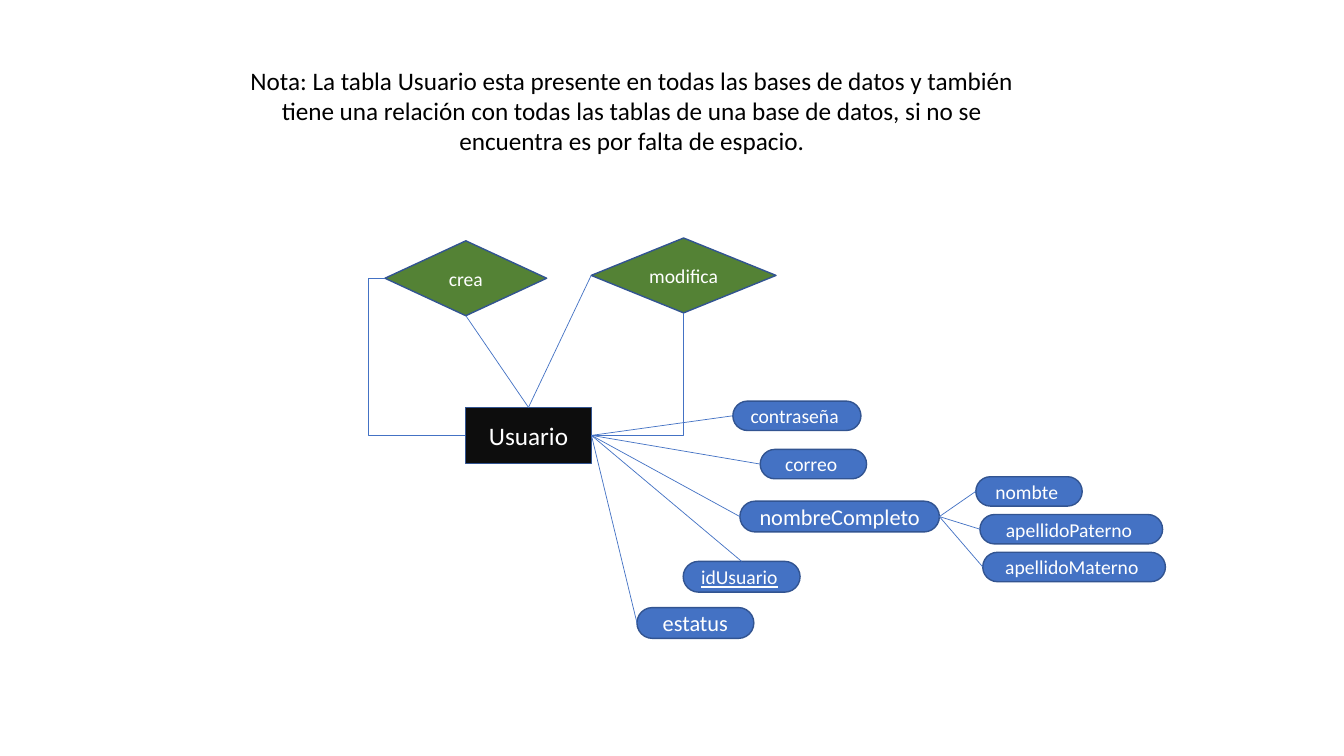
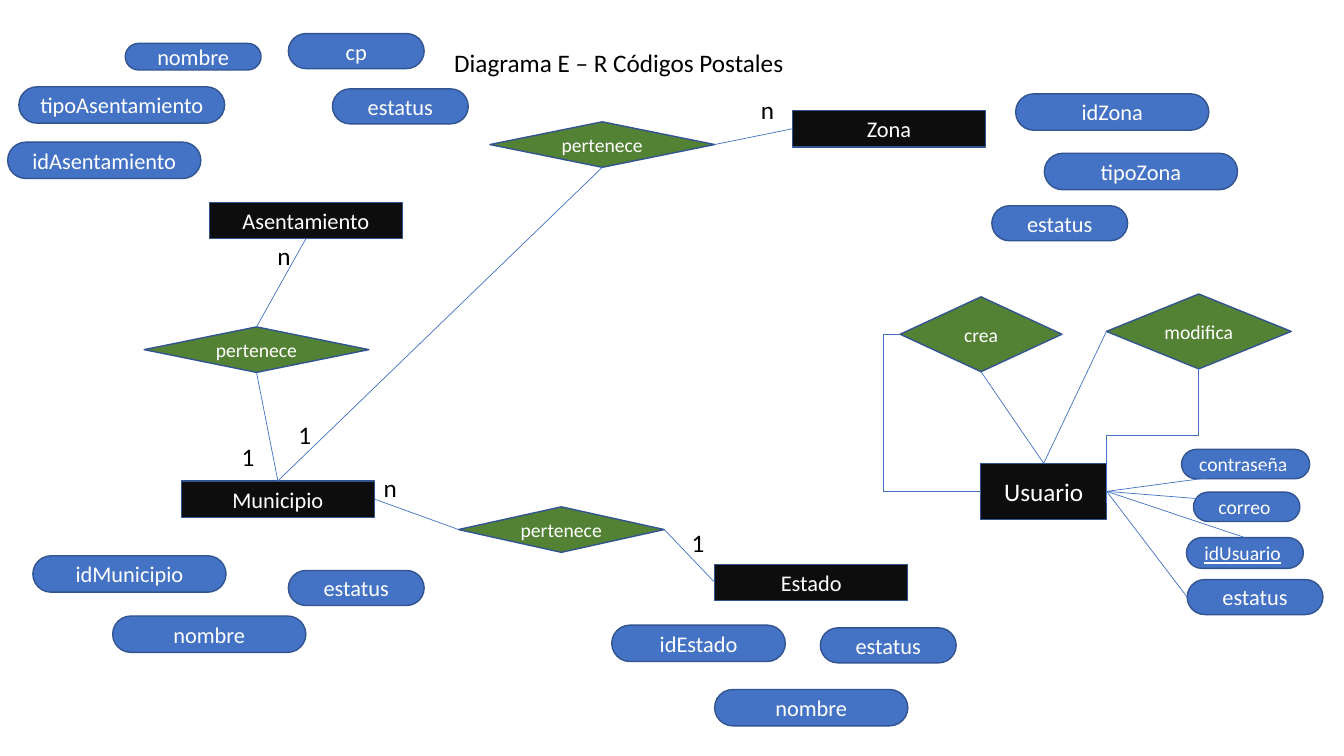
from lxml import etree
from pptx import Presentation
from pptx.dml.color import RGBColor
from pptx.enum import shapes, text
from pptx.oxml.ns import qn
from pptx.util import Pt

BLACK = RGBColor(0x00, 0x00, 0x00)
WHITE = RGBColor(0xFF, 0xFF, 0xFF)
ENTITY = RGBColor(0x0D, 0x0D, 0x0D)
ATTRIBUTE = RGBColor(0x44, 0x72, 0xC4)
RELATION = RGBColor(0x54, 0x82, 0x35)
OUTLINE = RGBColor(0x32, 0x54, 0x91)
FONT = "Calibri"
TOP, LEFT, BOTTOM, RIGHT = range(4)

KINDS = {
    "entity": (shapes.MSO_SHAPE.RECTANGLE, ENTITY),
    "attribute": (shapes.MSO_SHAPE.ROUNDED_RECTANGLE, ATTRIBUTE),
    "relation": (shapes.MSO_SHAPE.DIAMOND, RELATION),
}
WIDE, SMALL = (138, 26), (97, 25)
UNDERLINED = {"idUsuario"}

USER_NODES = [
    ("Usuario", "entity", "Usuario", (332.5, 291), (90, 40), 18),
    ("crea", "relation", "crea", (275, 172), (115.5, 53.5), 14),
    ("modifica", "relation", "modifica", (422.3, 170), (132, 53.5), 14),
]
USER_LINKS = [
    ("crea", BOTTOM, "Usuario", TOP),
    ("modifica", LEFT, "Usuario", TOP),
]
ID_SIZE, MAIL_SIZE, PASSWORD_SIZE, SURNAME_SIZE = (83.5, 22), (76, 21), (91.5, 21), (130.5, 21)

NOTE = ("Nota: La tabla Usuario esta presente en todas las bases de datos y también tiene una "
        "relación con todas las tablas de una base de datos, si no se encuentra es por falta de espacio.")
NOTE_NODES = [
    ("idUsuario", "attribute", "idUsuario ", (488, 401), ID_SIZE, 14),
    ("correo", "attribute", "correo ", (543, 321), MAIL_SIZE, 14),
    ("contraseña", "attribute", "contraseña ", (523.5, 286.5), PASSWORD_SIZE, 14),
    ("estatus", "attribute", "estatus", (455, 434), ID_SIZE, 16),
    ("nombreCompleto", "attribute", "nombreCompleto", (528.5, 358), (142.5, 22), 16),
    ("nombte", "attribute", "nombte ", (697, 340.5), MAIL_SIZE, 14),
    ("apellidoPaterno", "attribute", "apellidoPaterno ", (700, 367.5), SURNAME_SIZE, 14),
    ("apellidoMaterno", "attribute", "apellidoMaterno ", (702, 394.5), SURNAME_SIZE, 14),
]
NOTE_LINKS = [
    ("contraseña", LEFT, "Usuario", RIGHT),
    ("correo", LEFT, "Usuario", RIGHT),
    ("idUsuario", TOP, "Usuario", RIGHT),
    ("estatus", LEFT, "Usuario", RIGHT),
    ("nombreCompleto", LEFT, "Usuario", RIGHT),
    ("nombte", LEFT, "nombreCompleto", RIGHT),
    ("apellidoPaterno", LEFT, "nombreCompleto", RIGHT),
    ("apellidoMaterno", LEFT, "nombreCompleto", RIGHT),
]

POSTAL_TITLE = "Diagrama E – R Códigos Postales"
POSTAL_NODES = [
    ("Asentamiento", "entity", "Asentamiento", (149.5, 144.5), WIDE, 16),
    ("Municipio", "entity", "Municipio", (129.5, 343.5), WIDE, 16),
    ("Estado", "entity", "Estado", (510.5, 403), WIDE, 16),
    ("Zona", "entity", "Zona", (566, 79), WIDE, 16),
    ("Asentamiento-Municipio", "relation", "pertenece", (103, 233.5), (160.5, 32.5), 14),
    ("Municipio-Estado", "relation", "pertenece", (327.5, 362), (147, 32.5), 14),
    ("Municipio-Zona", "relation", "pertenece", (350, 87), (160.5, 32.5), 14),
    ("idAsentamiento", "attribute", "idAsentamiento", (5.5, 101.5), WIDE, 16),
    ("tipoAsentamiento", "attribute", "tipoAsentamiento", (13.5, 62), (147, 26), 16),
    ("nombre Asentamiento", "attribute", "nombre", (89.5, 31), (97, 19), 16),
    ("cp", "attribute", "cp", (206, 24), SMALL, 16),
    ("estatus Asentamiento", "attribute", "estatus", (237.5, 63.5), SMALL, 16),
    ("idMunicipio", "attribute", "idMunicipio", (23.5, 397), WIDE, 16),
    ("nombre Municipio", "attribute", "nombre", (80.5, 440), WIDE, 16),
    ("estatus Municipio", "attribute", "estatus", (206, 407.5), SMALL, 16),
    ("idEstado", "attribute", "idEstado", (437, 446.5), (124, 26), 16),
    ("nombre Estado", "attribute", "nombre", (510.5, 492.5), WIDE, 16),
    ("estatus Estado", "attribute", "estatus", (586, 448.5), SMALL, 16),
    ("idZona", "attribute", "idZona", (725.5, 67), WIDE, 16),
    ("tipoZona", "attribute", "tipoZona", (746, 109.5), WIDE, 16),
    ("estatus Zona", "attribute", "estatus", (708.5, 147), SMALL, 16),
    ("idUsuario", "attribute", "idUsuario ", (847.5, 384), ID_SIZE, 14),
    ("correo", "attribute", "correo ", (852.5, 351.5), MAIL_SIZE, 14),
    ("contraseña", "attribute", "contraseña ", (844, 321), PASSWORD_SIZE, 14),
    ("estatus Usuario", "attribute", "estatus", (848, 414), SMALL, 16),
]
POSTAL_LINKS = [
    ("Municipio-Estado", LEFT, "Municipio", RIGHT),
    ("Municipio-Estado", RIGHT, "Estado", LEFT),
    ("Asentamiento-Municipio", TOP, "Asentamiento", BOTTOM),
    ("Asentamiento-Municipio", BOTTOM, "Municipio", TOP),
    ("Municipio", TOP, "Municipio-Zona", BOTTOM),
    ("Municipio-Zona", RIGHT, "Zona", LEFT),
    ("contraseña", RIGHT, "Usuario", RIGHT),
    ("correo", RIGHT, "Usuario", RIGHT),
    ("idUsuario", TOP, "Usuario", RIGHT),
    ("estatus Usuario", LEFT, "Usuario", RIGHT),
]
CARDINALITIES = [
    ("n", 191, 168), ("1", 165.5, 312), ("1", 487, 373),
    ("n", 267, 334), ("n", 536.5, 63.5), ("1", 206, 296),
]


def apply_format(target, values):
    for name, value in values.items():
        setattr(target, name, value)


def write(shape, content, size, color, align, anchor):
    frame = shape.text_frame
    apply_format(frame, {"word_wrap": True, "vertical_anchor": anchor,
                         "auto_size": text.MSO_AUTO_SIZE.NONE})
    paragraph = frame.paragraphs[0]
    paragraph.alignment = align
    word = content.rstrip()
    pieces = [(word, True), (content[len(word):], None)] if word in UNDERLINED else [(content, None)]
    for piece, underline in pieces:
        run = paragraph.add_run()
        run.text = piece
        apply_format(run.font, {"name": FONT, "size": Pt(size), "underline": underline})
        run.font.color.rgb = color


def add_label(slide, content, left, top, width, height, align):
    box = slide.shapes.add_textbox(Pt(left), Pt(top), Pt(width), Pt(height))
    write(box, content, 18, BLACK, align, text.MSO_ANCHOR.TOP)


def add_node(slide, kind, content, position, extent, size):
    preset, fill = KINDS[kind]
    shape = slide.shapes.add_shape(preset, *map(Pt, position + extent))
    if kind == "attribute":
        shape.adjustments[0] = 0.5
    shape.shadow.inherit = False
    shape.fill.solid()
    shape.fill.fore_color.rgb = fill
    shape.line.color.rgb = OUTLINE
    shape.line.width = Pt(1)
    write(shape, content, size, WHITE, text.PP_ALIGN.CENTER, text.MSO_ANCHOR.MIDDLE)
    return shape


def add_link(slide, kind, start, start_side, finish=None, finish_side=None, point=(0, 0)):
    connector = slide.shapes.add_connector(kind, 0, 0, *map(Pt, point))
    connector.begin_connect(start, start_side)
    if finish is not None:
        connector.end_connect(finish, finish_side)
    connector.line.color.rgb = ATTRIBUTE
    connector.line.width = Pt(0.5)
    etree.SubElement(connector._element.spPr, qn("a:effectLst"))
    return connector


def shape_elbow(connector, preset, bend=None):
    geometry = connector._element.spPr.find(qn("a:prstGeom"))
    geometry.set("prst", preset)
    if bend is not None:
        guide = etree.SubElement(geometry.find(qn("a:avLst")), qn("a:gd"))
        guide.set("name", "adj1")
        guide.set("fmla", f"val {round(bend * 100000)}")


def turn_down(connector):
    center_x = (connector.begin_x + connector.end_x) // 2
    center_y = (connector.begin_y + connector.end_y) // 2
    width, height = connector.height, connector.width
    apply_format(connector, {"left": center_x - width // 2, "top": center_y - height // 2,
                             "width": width, "height": height})
    transform = connector._element.spPr.find(qn("a:xfrm"))
    transform.attrib.pop("flipH", None)
    transform.set("rot", str(90 * 60000))


def add_diagram(slide, nodes, links, offset=(0, 0)):
    moved = [(key, kind, content, (left + offset[0], top + offset[1]), extent, size)
             for key, kind, content, (left, top), extent, size in USER_NODES]
    placed = {key: add_node(slide, *node) for key, *node in moved + nodes}
    for start, start_side, finish, finish_side in USER_LINKS + links:
        add_link(slide, shapes.MSO_CONNECTOR.STRAIGHT,
                 placed[start], start_side, placed[finish], finish_side)
    creates = add_link(slide, shapes.MSO_CONNECTOR.ELBOW,
                       placed["Usuario"], LEFT, placed["crea"], LEFT)
    shape_elbow(creates, "bentConnector3", 1.21)
    return placed


def build_note_slide(presentation):
    slide = presentation.slides.add_slide(presentation.slide_layouts[6])
    placed = add_diagram(slide, NOTE_NODES, NOTE_LINKS)
    modifies = add_link(slide, shapes.MSO_CONNECTOR.ELBOW,
                        placed["modifica"], BOTTOM, placed["Usuario"], RIGHT)
    shape_elbow(modifies, "bentConnector2")
    turn_down(modifies)
    add_label(slide, NOTE, 168, 43, 566.5, 73, text.PP_ALIGN.CENTER)


def build_postal_slide(presentation):
    slide = presentation.slides.add_slide(presentation.slide_layouts[5])
    title = slide.shapes.title
    apply_format(title, {"left": Pt(263), "top": Pt(30), "width": Pt(358), "height": Pt(29)})
    write(title, POSTAL_TITLE, 18, BLACK, text.PP_ALIGN.CENTER, text.MSO_ANCHOR.TOP)
    placed = add_diagram(slide, POSTAL_NODES, POSTAL_LINKS, (368, 40))
    modifies = add_link(slide, shapes.MSO_CONNECTOR.ELBOW,
                        placed["modifica"], BOTTOM, point=(790.5, 359))
    shape_elbow(modifies, "bentConnector3", 0.5)
    turn_down(modifies)
    for content, left, top in CARDINALITIES:
        add_label(slide, content, left, top, 36, 29, text.PP_ALIGN.LEFT)


def main():
    presentation = Presentation()
    apply_format(presentation, {"slide_width": Pt(960), "slide_height": Pt(540)})
    build_note_slide(presentation)
    build_postal_slide(presentation)
    presentation.save("out.pptx")


if __name__ == "__main__":
    main()
